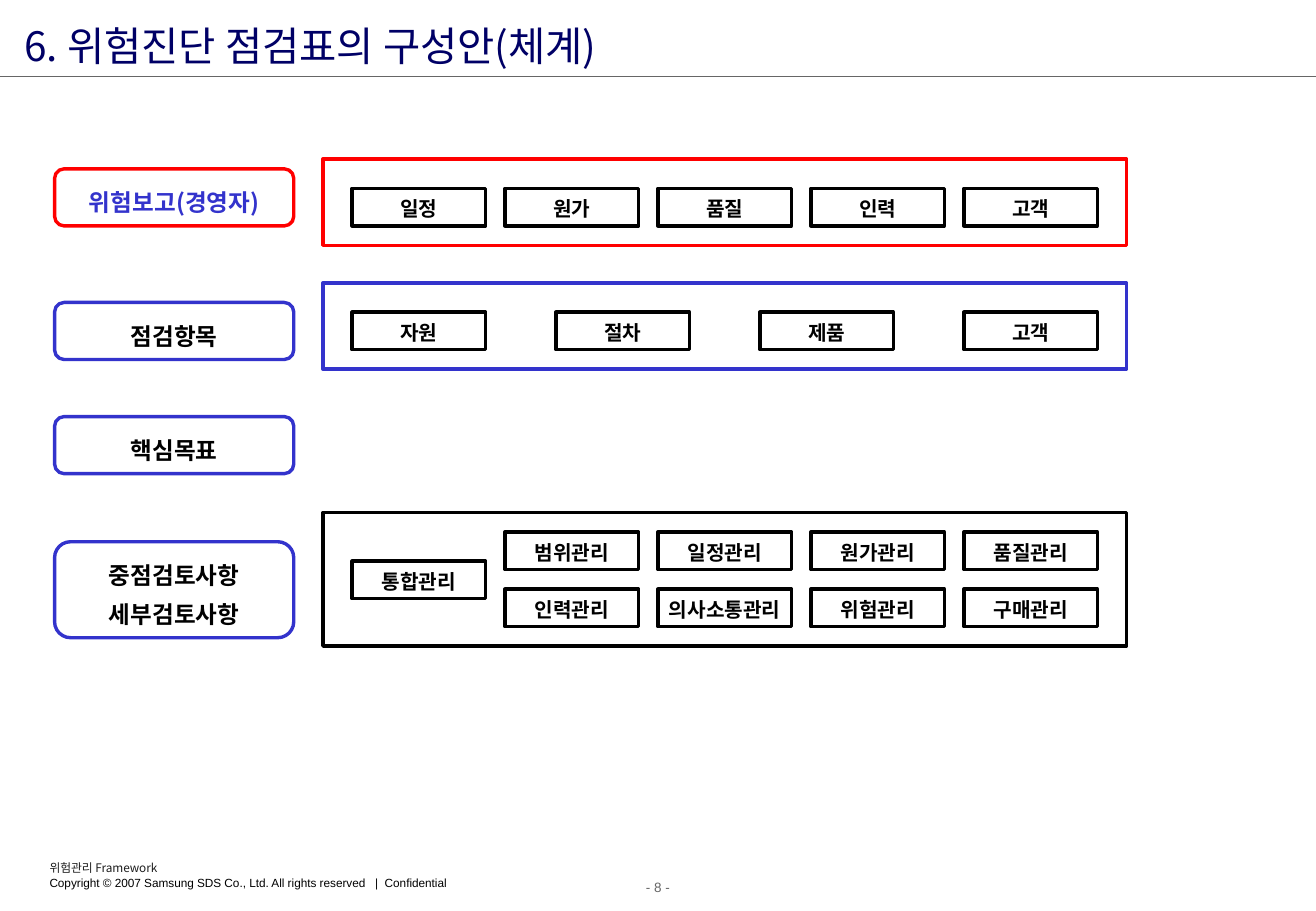
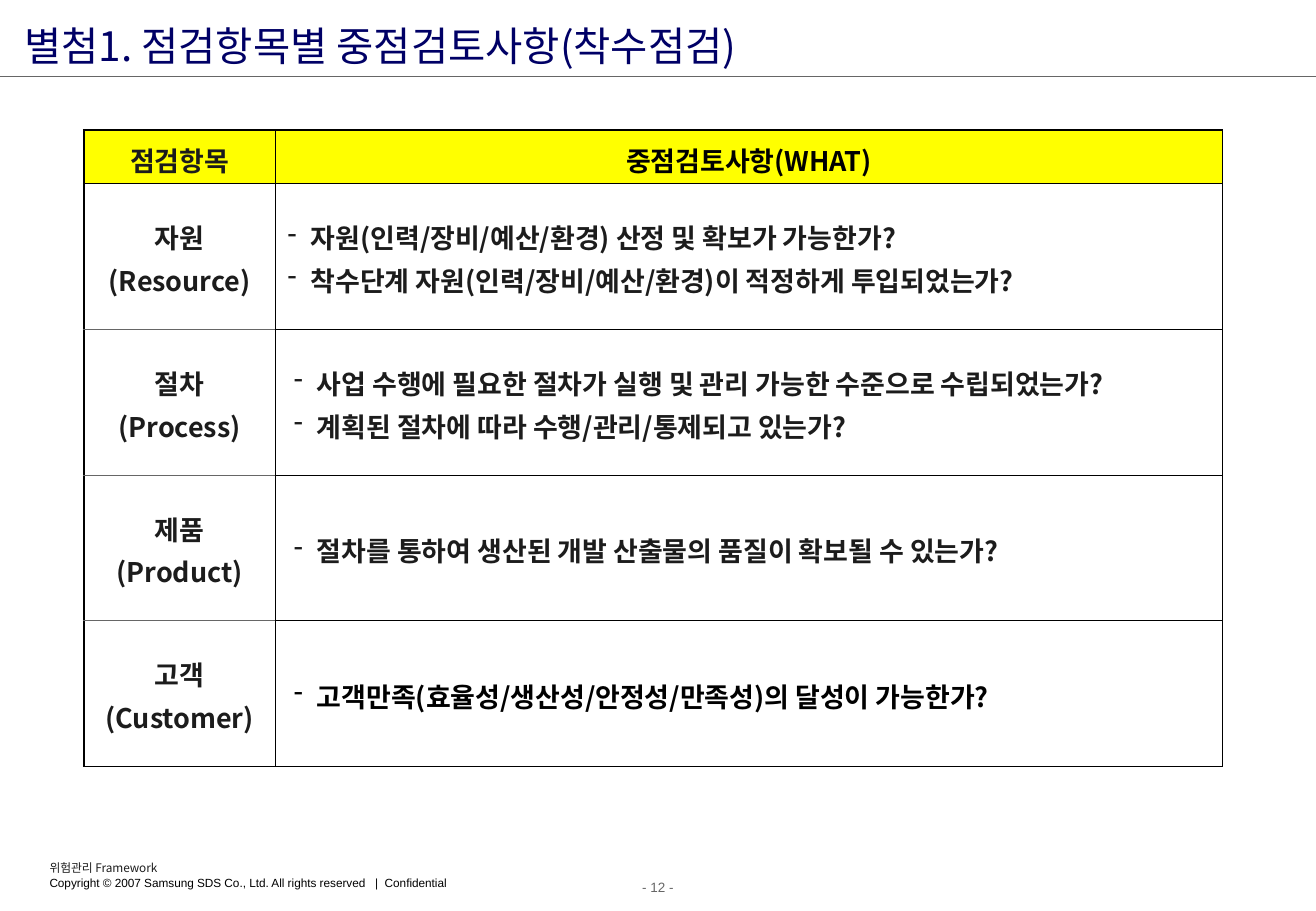
from lxml.etree import SubElement
from pptx import Presentation
from pptx.dml.color import RGBColor
from pptx.enum.shapes import MSO_CONNECTOR, MSO_SHAPE as Preset
from pptx.enum.text import MSO_ANCHOR as Anchor, PP_ALIGN as Align
from pptx.oxml.ns import qn
from pptx.util import Inches, Pt

# Shared look
WIDTH, HEIGHT = 10.84, 7.5
BLACK = RGBColor(0x00, 0x00, 0x00)
WHITE = RGBColor(0xFF, 0xFF, 0xFF)
INK = RGBColor(0x1C, 0x1C, 0x1C)
GREY = RGBColor(0x66, 0x66, 0x66)
NAVY = RGBColor(0x00, 0x00, 0x66)
BLUE = RGBColor(0x33, 0x33, 0xCC)
RED = RGBColor(0xFF, 0x00, 0x00)
YELLOW = RGBColor(0xFF, 0xFF, 0x00)
KOREAN, LATIN = "Noto Sans CJK KR", "Arial"

TITLE = dict(size=24, color=NAVY, spacing=1.1)
FOOTER = dict(size=7, color=INK)
COPYRIGHT = dict(size=7, color=BLACK, name=LATIN)
PAGE_NUMBER = dict(size=8, color=GREY, name=LATIN, align=Align.CENTER)
LABEL = dict(size=14, bold=True, align=Align.CENTER, spacing=1.35)
CHIP = dict(size=12, color=BLACK, bold=True, align=Align.CENTER, spacing=1.1)
CELL = dict(size=16, bold=True, spacing=1.1)

FOOTER_LINE = "위험관리 Framework"
COPYRIGHT_LINE = ("Copyright © 2007 Samsung SDS Co., Ltd. "
                  "All rights reserved   |  Confidential")

# Framework slide: labels as (top, height, line colour, text colour, lines)
LABELS = [
    (1.39, 0.47, RED, BLUE, ["위험보고(경영자)"]),
    (2.49, 0.47, BLUE, BLACK, ["점검항목"]),
    (3.43, 0.47, BLUE, BLACK, ["핵심목표"]),
    (4.46, 0.79, BLUE, BLACK, ["중점검토사항", "세부검토사항"]),
]
# Frames as (top, height, line colour, rows); rows as (offset, first column, names)
FRAMES = [
    (1.31, 0.71, RED, [(0.24, 0, ["일정", "원가", "품질", "인력", "고객"])]),
    (2.33, 0.71, BLUE, [(0.24, 0, ["자원", "절차", "제품", "고객"])]),
    (4.22, 1.1, BLACK, [
        (0.16, 1, ["범위관리", "일정관리", "원가관리", "품질관리"]),
        (0.4, 0, ["통합관리"]),
        (0.63, 1, ["인력관리", "의사소통관리", "위험관리", "구매관리"]),
    ]),
]
LABEL_LEFT, LABEL_WIDTH = 0.45, 1.97
FRAME_LEFT, FRAME_WIDTH = 2.66, 6.62
CHIP_LEFT, CHIP_WIDTH, CHIP_HEIGHT = 2.9, 1.1, 0.31
CHIP_PITCH, LAST_COLUMN = 1.26, 4

# Checklist slide: rows as (item lines, questions, dash indent, question colour)
HEADER = [("점검항목", INK), ("중점검토사항(WHAT)", BLACK)]
CHECKS = [
    (["자원", "(Resource)"],
     ["자원(인력/장비/예산/환경) 산정 및 확보가 가능한가?",
      "착수단계 자원(인력/장비/예산/환경)이 적정하게 투입되었는가?"], 0, INK),
    (["절차", "(Process)"],
     ["사업 수행에 필요한 절차가 실행 및 관리 가능한 수준으로 수립되었는가?",
      "계획된 절차에 따라 수행/관리/통제되고 있는가?"], 0.05, INK),
    (["제품", "(Product)"],
     ["절차를 통하여 생산된 개발 산출물의 품질이 확보될 수 있는가?"], 0.05, INK),
    (["고객", "(Customer)"],
     ["고객만족(효율성/생산성/안정성/만족성)의 달성이 가능한가?"], 0.05, BLACK),
]
TABLE_LEFT, TABLE_TOP = 0.69, 1.07
COLUMNS, HEADER_ROW, CHECK_ROW = (1.58, 7.8), 0.44, 1.2
DASH_GAP = 0.19
THICK, THIN = 1.08, 0.45


def inches(*lengths):
    return [Inches(length) for length in lengths]


def write(frame, lines, color, size, name=KOREAN, bold=False,
          align=Align.LEFT, spacing=None, dash=None):
    """Add one paragraph per line; dash is the indent of a dash bullet."""
    for line in lines:
        first = frame.paragraphs[0]
        para = frame.add_paragraph() if first.runs else first
        para.alignment = align
        if spacing:
            para.line_spacing = spacing
        if dash is not None:
            props = para._p.get_or_add_pPr()
            props.set("marL", str(Inches(dash + DASH_GAP)))
            props.set("indent", str(-Inches(DASH_GAP)))
            SubElement(props, qn("a:buChar")).set("char", "-")
        span = para.add_run()
        span.text = line
        for key, value in dict(name=name, size=Pt(size), bold=bold).items():
            setattr(span.font, key, value)
        span.font.color.rgb = color
        SubElement(span._r.get_or_add_rPr(), qn("a:ea")).set("typeface", name)


def set_margins(frame, across, down):
    for side, value in dict(left=across, right=across, top=down, bottom=down).items():
        setattr(frame, f"margin_{side}", Inches(value))


def add_text(page, place, across, down):
    frame = page.shapes.add_textbox(*inches(*place)).text_frame
    frame.word_wrap = True
    set_margins(frame, across, down)
    return frame


def add_box(page, preset, place, line, fill=None):
    box = page.shapes.add_shape(preset, *inches(*place))
    box.shadow.inherit = False
    box.line.color.rgb = line
    box.line.width = Pt(2)
    if fill is None:
        box.fill.background()
    else:
        box.fill.solid()
        box.fill.fore_color.rgb = fill
    frame = box.text_frame
    frame.word_wrap = False
    frame.vertical_anchor = Anchor.MIDDLE
    set_margins(frame, 0, 0)
    return frame


def add_page(deck, title, number):
    page = deck.slides.add_slide(deck.slide_layouts[6])
    rule = page.shapes.add_connector(
        MSO_CONNECTOR.STRAIGHT, *inches(0, 0.63, WIDTH, 0.63))
    rule.line.color.rgb = GREY
    rule.line.width = Pt(0.75)
    SubElement(rule._element.spPr, qn("a:effectLst"))
    write(add_text(page, (0.16, 0.13, 7.93, 0.44), 0.04, 0), [title], **TITLE)
    footer = add_text(page, (0.31, 7.04, 4.16, 0.34), 0.1, 0.05)
    write(footer, [FOOTER_LINE], **FOOTER)
    write(footer, [COPYRIGHT_LINE], **COPYRIGHT)
    write(add_text(page, (0, 7.19, WIDTH, 0.24), 0.1, 0.05),
          [f"- {number} -"], **PAGE_NUMBER)
    return page


def draw_framework(page):
    for top, height, line, color, lines in LABELS:
        frame = add_box(page, Preset.FLOWCHART_ALTERNATE_PROCESS,
                        (LABEL_LEFT, top, LABEL_WIDTH, height), line, WHITE)
        write(frame, lines, color, **LABEL)
    for top, height, line, rows in FRAMES:
        add_box(page, Preset.RECTANGLE, (FRAME_LEFT, top, FRAME_WIDTH, height), line)
        for offset, start, names in rows:
            # Spread the names evenly from the first to the last column
            step = (LAST_COLUMN - start) / max(len(names) - 1, 1)
            for index, name in enumerate(names):
                left = CHIP_LEFT + (start + index * step) * CHIP_PITCH
                place = (left, top + offset, CHIP_WIDTH, CHIP_HEIGHT)
                write(add_box(page, Preset.RECTANGLE, place, BLACK), [name], **CHIP)


def style_cell(cell, fill, borders):
    props = cell._tc.get_or_add_tcPr()
    for side, (color, width) in borders.items():
        edge = SubElement(props, qn(f"a:ln{side}"), w=str(Pt(width)))
        paint = SubElement(edge, qn("a:solidFill"))
        SubElement(paint, qn("a:srgbClr"), val=str(color))
    cell.fill.solid()
    cell.fill.fore_color.rgb = fill
    cell.vertical_anchor = Anchor.MIDDLE
    set_margins(cell, 0.1, 0.05)


def draw_checklist(page):
    heights = [HEADER_ROW] + [CHECK_ROW] * len(CHECKS)
    table = page.shapes.add_table(
        len(heights), len(COLUMNS),
        *inches(TABLE_LEFT, TABLE_TOP, sum(COLUMNS), sum(heights))).table
    table.first_row = table.horz_banding = False
    for column, width in zip(table.columns, COLUMNS):
        column.width = Inches(width)
    for row, height in zip(table.rows, heights):
        row.height = Inches(height)

    # Thick outline and header, thin lines between the checks
    for row in range(len(heights)):
        for column, thin_color in enumerate((GREY, BLACK)):
            thick, thin = (BLACK, THICK), (thin_color, THIN)
            borders = dict(L=thick, R=thick, T=thin if row > 1 else thick,
                           B=thin if 0 < row < len(CHECKS) else thick)
            style_cell(table.cell(row, column), WHITE if row else YELLOW, borders)

    for column, (heading, color) in enumerate(HEADER):
        write(table.cell(0, column).text_frame, [heading], color,
              align=Align.CENTER, **CELL)
    for row, (item, questions, dash, color) in enumerate(CHECKS, 1):
        write(table.cell(row, 0).text_frame, item, INK, align=Align.CENTER, **CELL)
        write(table.cell(row, 1).text_frame, questions, color, dash=dash, **CELL)


def main():
    deck = Presentation()
    deck.slide_width, deck.slide_height = inches(WIDTH, HEIGHT)
    draw_framework(add_page(deck, "6. 위험진단 점검표의 구성안(체계)", 8))
    draw_checklist(add_page(deck, "별첨1. 점검항목별 중점검토사항(착수점검)", 12))
    deck.save("out.pptx")


if __name__ == "__main__":
    main()
